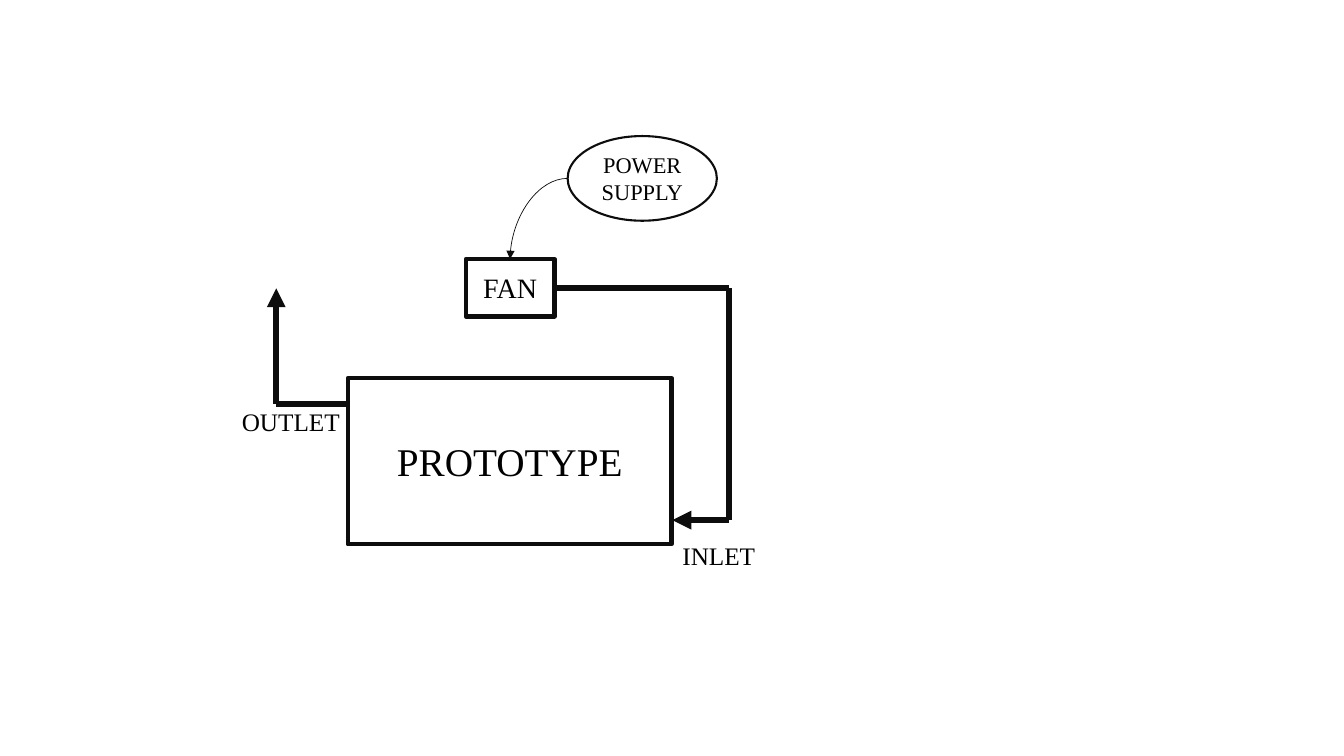
"""Builds a slide with the air flow diagram of a prototype, its fan and power supply."""
from itertools import pairwise

from lxml.etree import SubElement
from pptx import Presentation
from pptx.dml.color import RGBColor
from pptx.enum.shapes import MSO_CONNECTOR as Connector, MSO_SHAPE as Shape
from pptx.enum.text import MSO_ANCHOR as Anchor, MSO_AUTO_SIZE as AutoSize, PP_ALIGN as Align
from pptx.oxml.ns import qn
from pptx.util import Inches, Pt

COLUMNS, ROWS = 13.33, 7.5
INK, BLACK, WHITE = "0D0D0D", "000000", "FFFFFF"


def color(value):
    return RGBColor.from_string(value)


def write(frame, text, size, font="Times New Roman", ink=BLACK, align=Align.LEFT):
    frame.text = text
    for paragraph in frame.paragraphs:
        paragraph.alignment = align
        for run in paragraph.runs:
            run.font.name = font
            run.font.size = Pt(size)
            run.font.color.rgb = color(ink)


class Diagram:
    def __init__(self, presentation):
        presentation.slide_width = Inches(COLUMNS)
        presentation.slide_height = Inches(ROWS)
        self.column = presentation.slide_width / COLUMNS
        self.row = presentation.slide_height / ROWS
        self.slide = presentation.slides.add_slide(presentation.slide_layouts[6])
        self.shapes = self.slide.shapes

    def grid(self, *lengths):
        steps = (self.column, self.row)
        return [round(length * steps[index % 2]) for index, length in enumerate(lengths)]

    def node(self, kind, text, box, size, weight):
        shape = self.shapes.add_shape(kind, *self.grid(*box))
        shape.shadow.inherit = False
        shape.fill.background()
        shape.line.color.rgb = color(INK)
        shape.line.width = Pt(weight)
        frame = shape.text_frame
        frame.word_wrap = True
        frame.vertical_anchor = Anchor.MIDDLE
        write(frame, text, size, align=Align.CENTER)

    def label(self, text, box):
        frame = self.shapes.add_textbox(*self.grid(*box)).text_frame
        frame.word_wrap = False
        frame.auto_size = AutoSize.SHAPE_TO_FIT_TEXT
        write(frame, text, 18)

    def link(self, start, end, weight, kind=Connector.STRAIGHT, arrow=False):
        connector = self.shapes.add_connector(kind, *self.grid(*start, *end))
        connector.line.color.rgb = color(INK)
        connector.line.width = Pt(weight)
        properties = connector._element.spPr
        if kind == Connector.CURVE:
            properties.find(qn("a:prstGeom")).set("prst", "curvedConnector2")
        if arrow:
            SubElement(properties.find(qn("a:ln")), qn("a:tailEnd"), type="triangle")
        SubElement(properties, qn("a:effectLst"))

    def pipe(self, *points):
        for start, end in pairwise(points):
            self.link(start, end, 4.5, arrow=end == points[-1])


presentation = Presentation()
diagram = Diagram(presentation)
diagram.slide.background.fill.solid()
diagram.slide.background.fill.fore_color.rgb = color(WHITE)

prototype_left, prototype_right = 3.45, 6.67
fan_middle, inlet_level, outlet_level = 2.86, 5.16, 4.01
inlet_bend, outlet_bend = 7.23, 2.74

diagram.node(Shape.RECTANGLE, "PROTOTYPE", (prototype_left, 3.75, 3.21, 1.65), 28, 3)
diagram.node(Shape.RECTANGLE, "FAN", (4.62, 2.57, 0.88, 0.57), 20, 3)
diagram.pipe((5.5, fan_middle), (inlet_bend, fan_middle),
             (inlet_bend, inlet_level), (prototype_right, inlet_level))
diagram.label("INLET", (prototype_right, 5.31, 0.93, 0.4))
diagram.pipe((prototype_left, outlet_level), (outlet_bend, outlet_level),
             (outlet_bend, fan_middle))
diagram.label("OUTLET", (2.3, 3.98, 1.18, 0.4))
diagram.node(Shape.OVAL, "POWER\vSUPPLY", (5.63, 1.35, 1.48, 0.84), 16, 1.5)
diagram.link((5.63, 1.77), (5.06, 2.57), 0.5, Connector.CURVE, arrow=True)

presentation.save("out.pptx")
